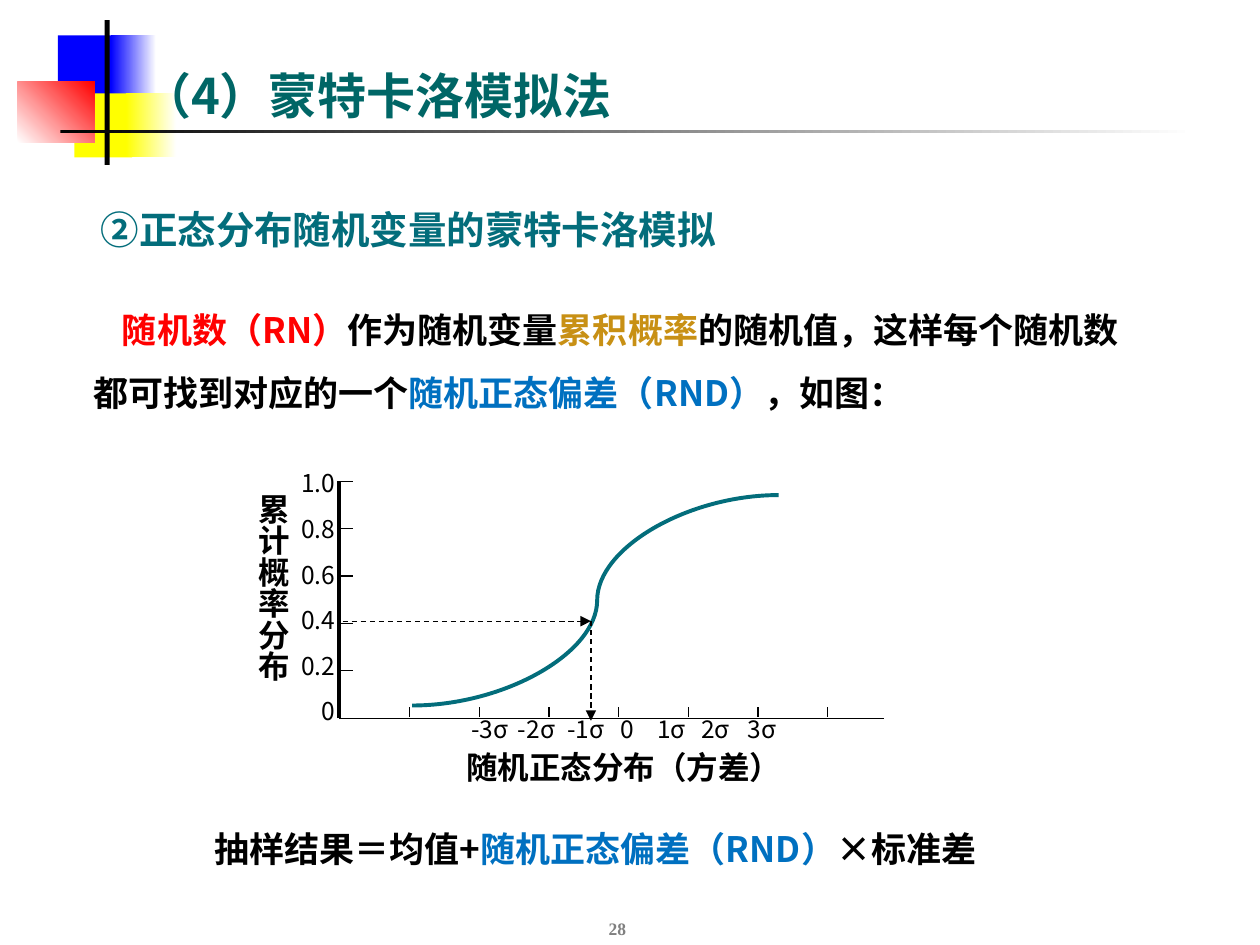
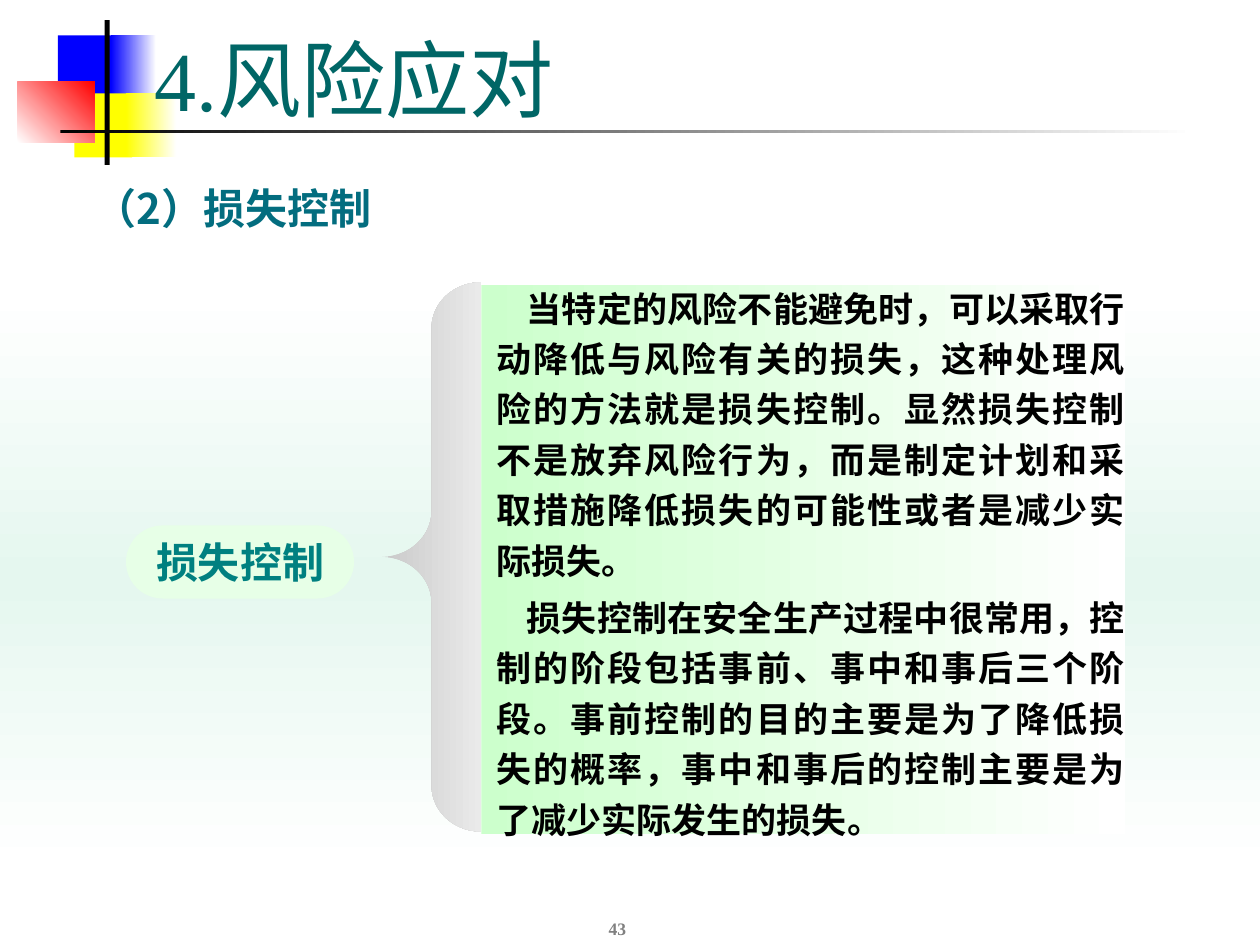
from copy import deepcopy

from lxml import etree
from pptx import Presentation
from pptx import util as u
from pptx.dml import color as dml
from pptx.enum import dml as line_styles, shapes, text
from pptx.oxml import ns

COLORS = {
    "blue": "0000FF", "yellow": "FFFF00", "red": "FF0000", "black": "000000",
    "white": "FFFFFF", "title": "006666", "teal": "036D7B", "heading": "036D7F",
    "gold": "C89014", "deviation": "0070C0", "page": "808080", "mist": "E5F7EF",
    "mint": "CCFFCC", "pill": "E7FFE7", "pill_text": "008080",
    "brace_dark": "C9C9C9", "brace_light": "EAEAEA",
}
SANS = "Noto Sans CJK SC"
SERIF = "Times New Roman"
ALIGN = text.PP_ALIGN
ANCHOR = text.MSO_ANCHOR
RECT = shapes.MSO_SHAPE.RECTANGLE


def rgb(name):
    return dml.RGBColor.from_string(COLORS[name])


def write(frame, paragraphs, size=20, color="black", bold=False, font=SANS,
          align=ALIGN.LEFT, anchor=ANCHOR.TOP, insets=(0.1, 0.05, 0.1, 0.05),
          wrap=True, line_spacing=None, gap=0, indent=0, tabs=(), vertical=False):
    frame.word_wrap = wrap
    frame.vertical_anchor = anchor
    (frame.margin_left, frame.margin_top,
     frame.margin_right, frame.margin_bottom) = map(u.Inches, insets)
    if vertical:
        frame._txBody.bodyPr.set("vert", "eaVert")
    for index, content in enumerate(paragraphs):
        paragraph = frame.add_paragraph() if index else frame.paragraphs[0]
        paragraph.alignment = align
        if line_spacing:
            paragraph.line_spacing = line_spacing
        if index and gap:
            paragraph.space_before = u.Pt(gap)
        properties = paragraph._p.get_or_add_pPr()
        if indent:
            properties.set("indent", str(u.Inches(indent)))
        if tabs:
            tab_list = etree.SubElement(properties, ns.qn("a:tabLst"))
            for stop in tabs:
                etree.SubElement(tab_list, ns.qn("a:tab"),
                                 pos=str(u.Inches(stop)), algn="ctr")
        pieces = [(content, color)] if isinstance(content, str) else content
        for words, shade in pieces:
            run = paragraph.add_run()
            run.text = words
            run.font.size = u.Pt(size)
            run.font.bold = bold
            run.font.name = font
            run.font.color.rgb = rgb(shade)
            east_asian = etree.SubElement(run._r.get_or_add_rPr(), ns.qn("a:ea"))
            east_asian.set("typeface", SANS)


class Deck:
    def __init__(self):
        self.presentation = Presentation()
        self.presentation.slide_width = u.Inches(10)
        self.presentation.slide_height = u.Inches(7.5)
        self.slide = None

    def start_slide(self, number):
        self.slide = self.presentation.slides.add_slide(
            self.presentation.slide_layouts[6])
        self.shape((0.46, 0.28, 0.48, 0.52), ["blue"])
        self.shape((0.88, 0.28, 0.36, 0.52), ["blue", "white"])
        self.shape((0.59, 0.74, 0.46, 0.51), ["yellow"])
        self.shape((1, 0.74, 0.4, 0.51), ["yellow", "white"])
        self.shape((0.14, 0.65, 0.61, 0.48), ["white", "red"], angle=45)
        self.shape((0.83, 0.16, 0.04, 1.15), ["black"])
        self.shape((0.48, 1.03, 9, 0.03), ["black", "white"])
        self.text((3.86, 7, 2.08, 0.5), [number], size=10, color="page", bold=True,
                  font=SERIF, align=ALIGN.CENTER, anchor=ANCHOR.BOTTOM)

    def shape(self, box, fills, kind=RECT, angle=0, adjustments=()):
        shape = self.slide.shapes.add_shape(kind, *map(u.Inches, box))
        shape.shadow.inherit = False
        shape.line.fill.background()
        for index, value in enumerate(adjustments):
            shape.adjustments[index] = value
        if len(fills) == 1:
            shape.fill.solid()
            shape.fill.fore_color.rgb = rgb(fills[0])
            return shape
        shape.fill.gradient()
        shape.fill.gradient_angle = angle
        stop_list = shape._element.spPr.find(".//" + ns.qn("a:gsLst"))
        for _ in fills[2:]:
            stop_list.append(deepcopy(stop_list[-1]))
        for index, (stop, name) in enumerate(zip(shape.fill.gradient_stops, fills)):
            stop.position = index / (len(fills) - 1)
            stop.color.rgb = rgb(name)
        return shape

    def text(self, box, paragraphs, **style):
        area = self.slide.shapes.add_textbox(*map(u.Inches, box))
        write(area.text_frame, paragraphs, **style)

    def title(self, box, words, **style):
        self.text(box, [words], color="title", anchor=ANCHOR.BOTTOM, **style)

    def line(self, start, end, color="black", width=0.75, arrow=False,
             kind=shapes.MSO_CONNECTOR.STRAIGHT):
        line = self.slide.shapes.add_connector(kind, *map(u.Inches, start + end))
        line.line.color.rgb = rgb(color)
        line.line.width = u.Pt(width)
        if arrow:
            line.line.dash_style = line_styles.MSO_LINE.DASH
            etree.SubElement(line.line._get_or_add_ln(), ns.qn("a:tailEnd"),
                             type="triangle")
        etree.SubElement(line._element.spPr, ns.qn("a:effectLst"))
        return line


def cumulative_chart(deck):
    left, base, top = 2.69, 5.7, 3.82
    curve = deck.line((3.27, 5.6), (6.18, 3.93), color="teal", width=2.25,
                      kind=shapes.MSO_CONNECTOR.CURVE)
    bend = curve._element.spPr.find(".//" + ns.qn("a:avLst"))
    etree.SubElement(bend, ns.qn("a:gd"), name="adj1", fmla="val 50500")
    deck.line((left, base), (7.02, base))
    deck.line((left, base), (left, top), width=2.25)
    for step in range(1, 6):
        y = base - step * (base - top) / 5
        deck.line((left, y), (left + 0.11, y))
    for step in range(7):
        x = 3.25 + step * 3.32 / 6
        deck.line((x, 5.69), (x, 5.61))
    deck.text((2.06, 3.54, 0.7, 2.27), ["1.0", "0.8", "0.6", "0.4", "0.2", "0"],
              size=14, align=ALIGN.RIGHT, line_spacing=1.55)
    deviations = {"-3σ": 0.84, "-2σ": 1.21, "-1σ": 1.6, "0": 1.93,
                  "1σ": 2.28, "2σ": 2.63, "3σ": 3}
    deck.text((2.95, 5.62, 3.99, 0.33), ["".join("\t" + d for d in deviations)],
              size=14, tabs=deviations.values())
    deck.text((1.87, 3.82, 0.5, 1.57), ["累计概率分布"], size=18, bold=True,
              align=ALIGN.CENTER, wrap=False, vertical=True)
    deck.text((3.6, 5.89, 2.7, 0.4), ["随机正态分布（方差）"], size=18, bold=True,
              align=ALIGN.CENTER, wrap=False)
    sample = (4.69, 4.93)
    deck.line((2.72, 4.93), sample, arrow=True)
    deck.line(sample, (4.69, 5.72), arrow=True)


def monte_carlo_slide(deck):
    deck.start_slide("28")
    deck.text((0.8, 1.63, 5.04, 0.37), ["②正态分布随机变量的蒙特卡洛模拟"], size=22,
              color="teal", bold=True, anchor=ANCHOR.MIDDLE, insets=(0, 0, 0, 0),
              wrap=False)
    deck.text((0.64, 2.23, 8.43, 1.05), [[
        ("随机数（RN）", "red"), ("作为随机变量", "black"), ("累积概率", "gold"),
        ("的随机值，这样每个随机数都可找到对应的一个", "black"),
        ("随机正态偏差（RND）", "deviation"), ("，如图：", "black"),
    ]], bold=True, line_spacing=1.5, indent=0.23)
    cumulative_chart(deck)
    deck.text((1.56, 6.52, 6.33, 0.44), [[
        ("抽样结果＝均值+", "black"), ("随机正态偏差（RND）", "deviation"),
        ("×标准差", "black"),
    ]], bold=True, align=ALIGN.CENTER)
    deck.title((1.03, 0.24, 6.9, 0.8), "（4）蒙特卡洛模拟法", size=28, bold=True)


def loss_control_slide(deck):
    deck.start_slide("43")
    deck.shape((0, 2.29, 10, 4.61), ["white", "mist", "white"], angle=270)
    deck.text((0.65, 1.4, 9, 0.47), ["（2）损失控制"], size=24, color="heading",
              bold=True)
    explanation = deck.shape((3.82, 2.26, 5.11, 4.36), ["mint", "white"])
    write(explanation.text_frame, [
        "当特定的风险不能避免时，可以采取行动降低与风险有关的损失，这种处理风险的方法"
        "就是损失控制。显然损失控制不是放弃风险行为，而是制定计划和采取措施降低损失的"
        "可能性或者是减少实际损失。",
        "损失控制在安全生产过程中很常用，控制的阶段包括事前、事中和事后三个阶段。事前"
        "控制的目的主要是为了降低损失的概率，事中和事后的控制主要是为了减少实际发生的"
        "损失。",
    ], bold=True, align=ALIGN.JUSTIFY, anchor=ANCHOR.MIDDLE, insets=(0.12, 0, 0, 0),
        line_spacing=1.2, gap=4, indent=0.24)
    topic = deck.shape((1, 4.17, 1.81, 0.58), ["pill"],
                       kind=shapes.MSO_SHAPE.ROUNDED_RECTANGLE, adjustments=[0.5])
    write(topic.text_frame, ["损失控制"], size=24, color="pill_text", bold=True,
          align=ALIGN.CENTER, anchor=ANCHOR.MIDDLE)
    deck.shape((3.03, 2.24, 0.79, 4.36), ["brace_dark", "brace_light"],
               kind=shapes.MSO_SHAPE.LEFT_BRACE, adjustments=[0.46, 0.5])
    deck.title((1.13, 0.15, 8.52, 0.92), "4.风险应对", size=48, font=SERIF)


def main():
    deck = Deck()
    monte_carlo_slide(deck)
    loss_control_slide(deck)
    deck.presentation.save("out.pptx")


if __name__ == "__main__":
    main()
